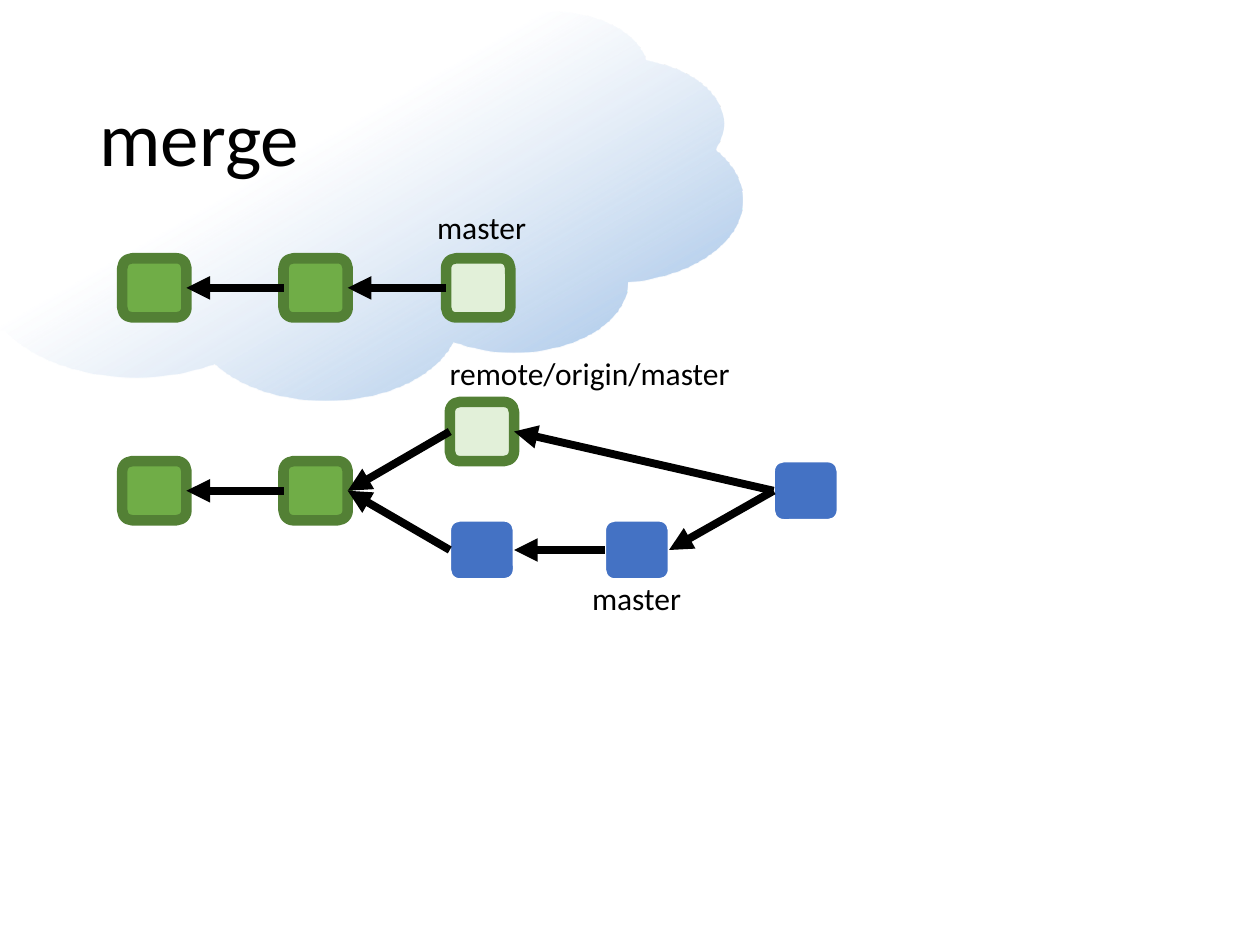
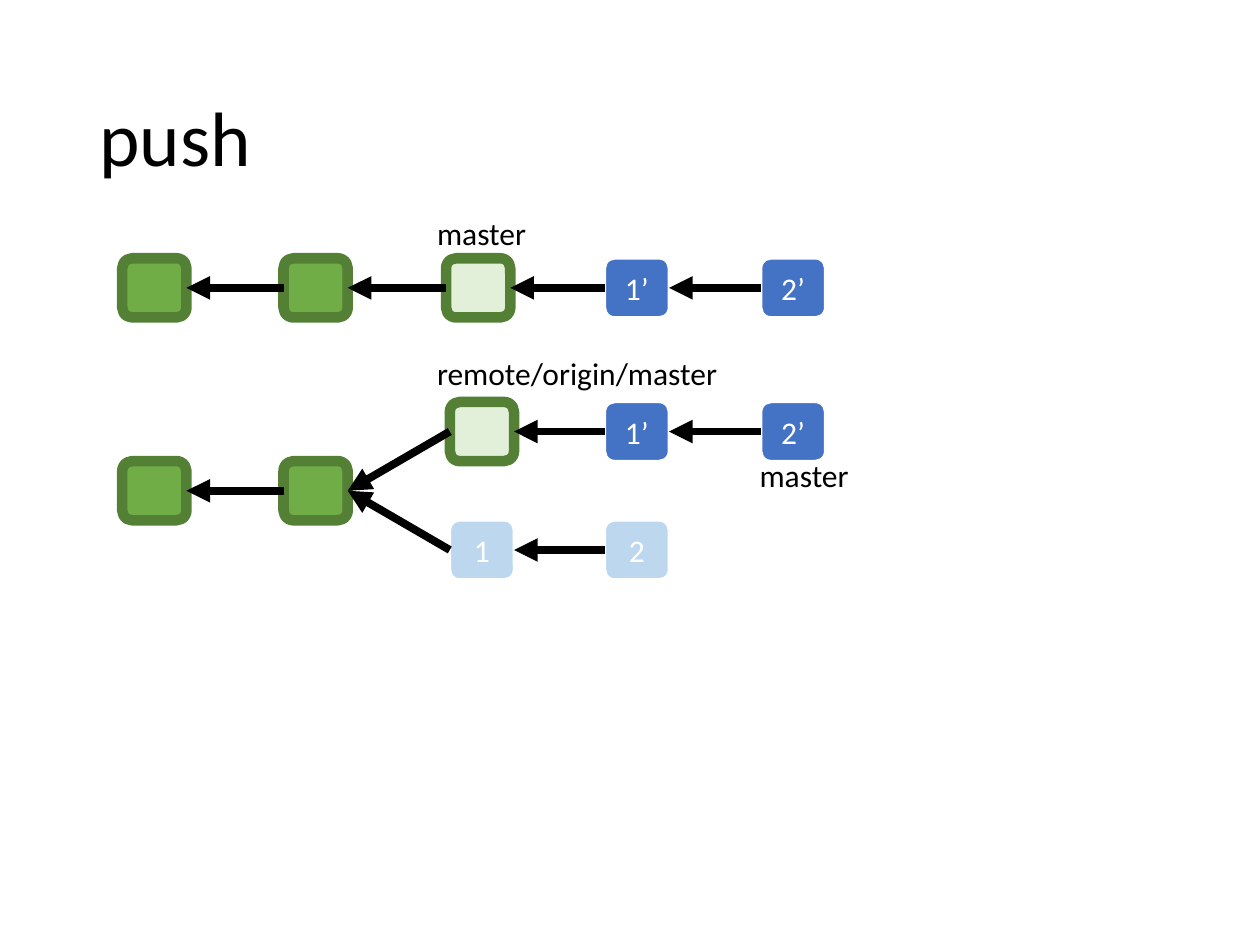
from lxml.etree import SubElement
from pptx import Presentation
from pptx.dml.color import RGBColor
from pptx.enum.shapes import MSO_CONNECTOR, MSO_SHAPE
from pptx.enum.text import MSO_ANCHOR, MSO_AUTO_SIZE, PP_ALIGN
from pptx.oxml.ns import qn
from pptx.util import Inches, Pt

FONT = "Calibri"
BLACK, WHITE = "000000", "FFFFFF"
NODE_WIDTH, NODE_HEIGHT = 0.51, 0.47
TITLE_BOX = (0.69, 0.4, 8.62, 1.45)

# Fill, line colour and line width of each kind of commit
KINDS = {
    "shared": ("70AD47", "538035", 6),
    "remote": ("E2F0D9", "538035", 6),
    "local": ("4472C4", WHITE, 1.5),
    "dropped": ("BDD7EE", WHITE, 1.5),
}

# Where the two histories start, and the steps inside them
REMOTE_ORIGIN = (0.97, 2.05)
LOCAL_ORIGIN = (0.97, 3.19)
COLUMNS = (0, 1.28, 2.6, 3.83, 5.07)
UPPER, MIDDLE, LOWER = (NODE_HEIGHT * lane for lane in range(3))


def color(hex_string):
    return RGBColor.from_string(hex_string)


def inches(*lengths):
    return [Inches(length) for length in lengths]


def write(frame, text, size=18, ink=BLACK, align=PP_ALIGN.LEFT,
          anchor=MSO_ANCHOR.TOP, wrap=True, spacing=None):
    frame.word_wrap = wrap
    frame.vertical_anchor = anchor
    para = frame.paragraphs[0]
    para.alignment = align
    para.line_spacing = spacing
    span = para.add_run()
    span.text = text
    span.font.name = FONT
    span.font.size = Pt(size)
    span.font.color.rgb = color(ink)


def add_page(deck, title):
    page = deck.slides.add_slide(deck.slide_layouts[5])
    holder = page.shapes.title
    holder.left, holder.top, holder.width, holder.height = inches(*TITLE_BOX)
    write(holder.text_frame, title, size=44, anchor=MSO_ANCHOR.MIDDLE, spacing=0.9)
    return page


def add_cloud(page, left, top, width, height):
    cloud = page.shapes.add_shape(MSO_SHAPE.CLOUD, *inches(left, top, width, height))
    cloud.shadow.inherit = False
    cloud.line.fill.background()
    cloud.fill.gradient()
    cloud.fill.gradient_angle = 300
    for stop, position, tint in zip(cloud.fill.gradient_stops, (0.43, 1),
                                    ("B1CBE9", "93B9E4")):
        stop.position = position
        stop.color.rgb = color(tint)
    # The first stop is fully transparent
    first_tint = next(cloud.element.spPr.iter(qn("a:srgbClr")))
    SubElement(first_tint, qn("a:alpha"), val="0")
    # Send the cloud behind the title
    page.shapes.title.element.addprevious(cloud.element)


def add_commit(page, left, top, kind, text=""):
    fill, line, weight = KINDS[kind]
    commit = page.shapes.add_shape(MSO_SHAPE.ROUNDED_RECTANGLE,
                                   *inches(left, top, NODE_WIDTH, NODE_HEIGHT))
    commit.shadow.inherit = False
    commit.fill.solid()
    commit.fill.fore_color.rgb = color(fill)
    commit.line.color.rgb = color(line)
    commit.line.width = Pt(weight)
    if text:
        write(commit.text_frame, text, ink=WHITE, align=PP_ALIGN.CENTER,
              anchor=MSO_ANCHOR.MIDDLE)
    return commit


def add_arrow(page, child, parent):
    """Point from the left side of a commit to the right side of its parent."""
    arrow = page.shapes.add_connector(MSO_CONNECTOR.STRAIGHT, 0, 0, 0, 0)
    arrow.begin_connect(child, 1)
    arrow.end_connect(parent, 3)
    arrow.line.color.rgb = color(BLACK)
    arrow.line.width = Pt(4.5)
    SubElement(arrow.line._get_or_add_ln(), qn("a:tailEnd"), type="triangle")
    SubElement(arrow.element.spPr, qn("a:effectLst"))


def add_label(page, left, top, text):
    width = 0.92 if text == "master" else 2.45
    label = page.shapes.add_textbox(*inches(left, top, width, 0.4))
    write(label.text_frame, text, wrap=False)
    label.text_frame.auto_size = MSO_AUTO_SIZE.SHAPE_TO_FIT_TEXT


def add_history(page, origin, commits, arrows, labels):
    """Draw commits (name: x, y, kind, text), arrows and labels from an origin."""
    left, top = origin
    nodes = {name: add_commit(page, left + x, top + y, *look)
             for name, (x, y, *look) in commits.items()}
    for child, parent in arrows:
        add_arrow(page, nodes[child], nodes[parent])
    for x, y, text in labels:
        add_label(page, left + x, top + y, text)


def shared_commits(lane):
    return {"first": (COLUMNS[0], lane, "shared"),
            "second": (COLUMNS[1], lane, "shared")}


def chain(*names):
    return list(zip(names[1:], names))


# Commits that both pages have
remote_commits = {**shared_commits(UPPER), "tip": (2.57, UPPER, "remote")}
local_commits = {**shared_commits(MIDDLE), "tip": (COLUMNS[2], UPPER, "remote")}
remote_arrows = chain("first", "second", "tip")
local_arrows = remote_arrows + chain("second", "one", "two")

deck = Presentation()
deck.slide_width, deck.slide_height = inches(10, 7.5)

# Merge: a new commit joins both branches
page = add_page(deck, "merge")
add_cloud(page, -0.88, 0.08, 6.77, 3.09)
add_history(page, REMOTE_ORIGIN, remote_commits, remote_arrows,
            [(2.4, -0.45, "master")])
add_history(page, LOCAL_ORIGIN,
            {**local_commits,
             "one": (COLUMNS[2], LOWER, "local"),
             "two": (COLUMNS[3], LOWER, "local"),
             "merge": (5.17, MIDDLE, "local")},
            local_arrows + [("merge", "tip"), ("merge", "two")],
            [(2.5, -0.43, "remote/origin/master"), (3.63, 1.36, "master")])

# Push: the rebased commits reach the remote
rebased_commits = {"new one": (COLUMNS[3], UPPER, "local", "1’"),
                   "new two": (COLUMNS[4], UPPER, "local", "2’")}
rebased_arrows = chain("tip", "new one", "new two")
page = add_page(deck, "push")
add_history(page, REMOTE_ORIGIN, {**remote_commits, **rebased_commits},
            remote_arrows + rebased_arrows, [(2.4, -0.4, "master")])
add_history(page, LOCAL_ORIGIN,
            {**local_commits, **rebased_commits,
             "one": (COLUMNS[2], LOWER, "dropped", "1"),
             "two": (COLUMNS[3], LOWER, "dropped", "2")},
            local_arrows + rebased_arrows,
            [(2.4, -0.43, "remote/origin/master"), (4.96, 0.38, "master")])

deck.save("out.pptx")
